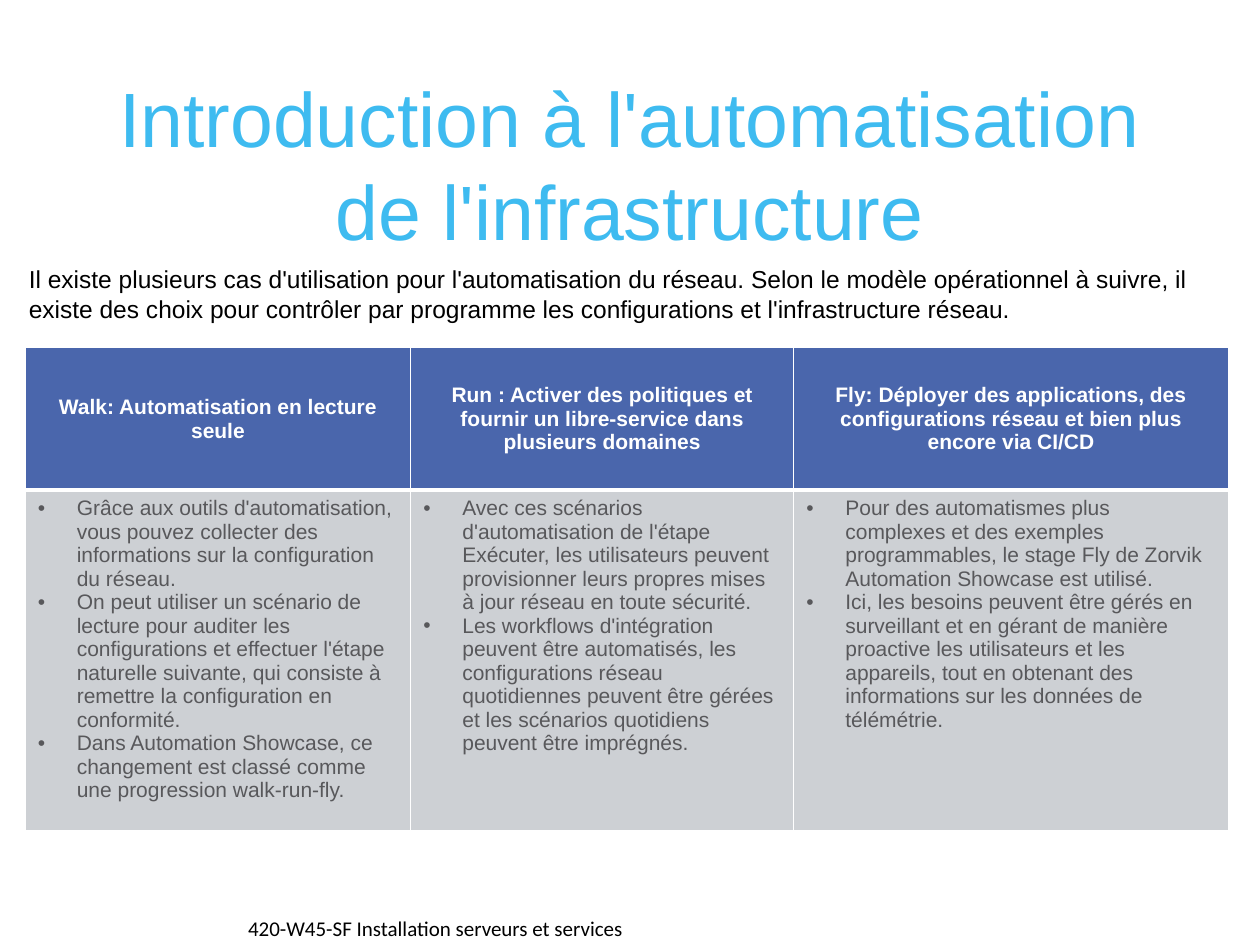
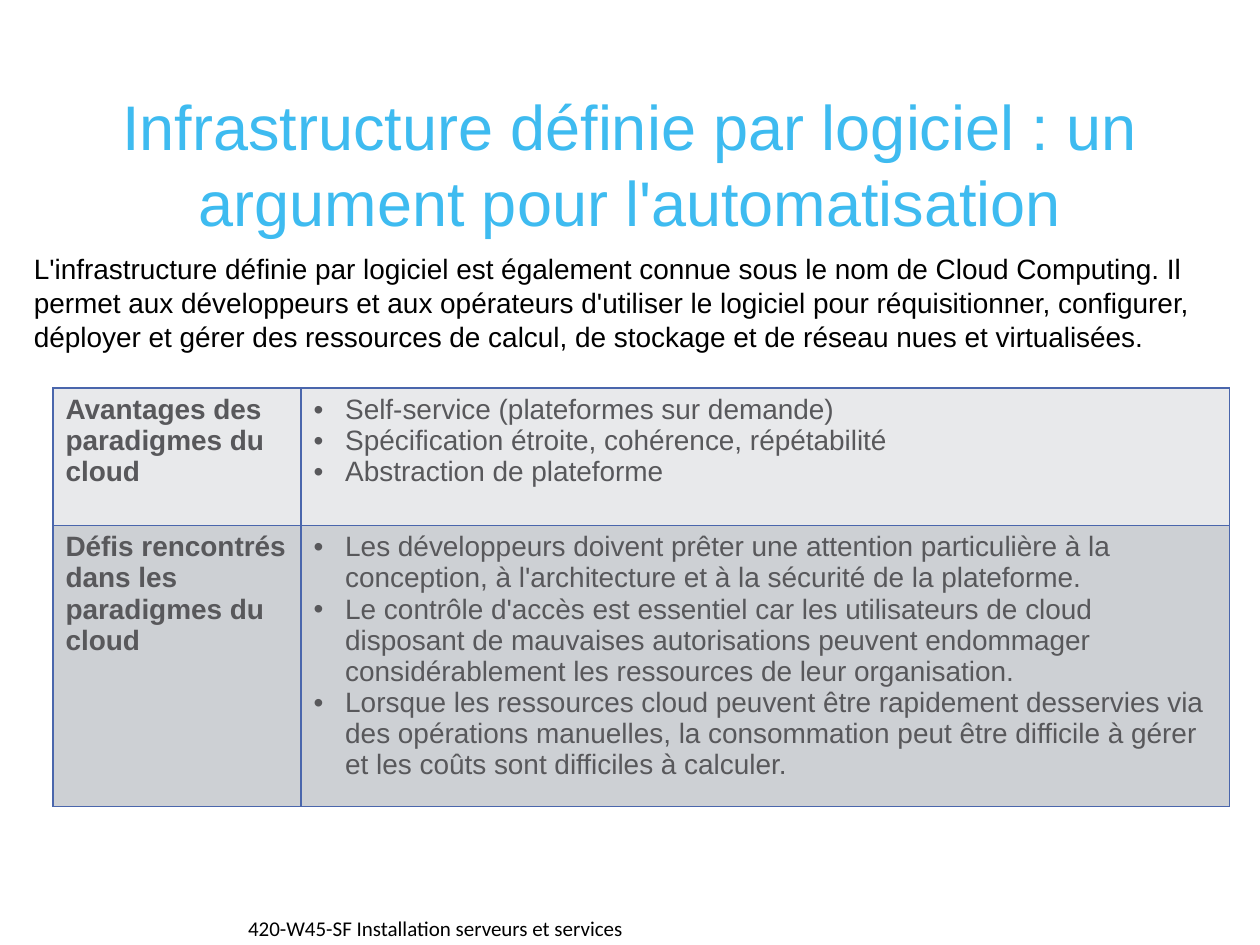
import pptx
import pptx.util
import pptx.dml.color
import pptx.enum.text
import pptx.oxml.ns
from dataclasses import dataclass
from lxml import etree

Inches, Pt = pptx.util.Inches, pptx.util.Pt
ALIGN = pptx.enum.text.PP_ALIGN
ANCHOR = pptx.enum.text.MSO_ANCHOR


@dataclass(frozen=True)
class Theme:
    font: str = "Arial"
    footer_font: str = "Calibri"
    title: str = "3EBBF0"
    ink: str = "000000"
    cell_ink: str = "58585B"
    accent: str = "4A66AC"
    white: str = "FFFFFF"
    light: str = "E8E9EB"
    mid: str = "CDD0D4"
    title_large: int = 44
    title_size: int = 36
    text_large: int = 16
    text_size: int = 14
    small: int = 12


FOOTER = "420-W45-SF Installation serveurs et services"


class Deck:
    def __init__(self, theme):
        self.theme = theme
        self.prs = pptx.Presentation()
        self.prs.slide_width, self.prs.slide_height = Inches(10), Inches(7.5)
        self.slide = None

    def new_slide(self, title, size):
        """Start a slide with its title and footer."""
        self.slide = self.prs.slides.add_slide(self.prs.slide_layouts[5])
        heading = self.slide.shapes.title
        heading.left, heading.top = Inches(0.75), Inches(0.67)
        heading.width, heading.height = Inches(8.5), Inches(1.25)
        frame = heading.text_frame
        frame.word_wrap = True
        frame.auto_size = pptx.enum.text.MSO_AUTO_SIZE.NONE
        frame.vertical_anchor = ANCHOR.MIDDLE
        line = frame.paragraphs[0]
        line.alignment = ALIGN.CENTER
        self.run(line, title, size, self.theme.title)

        footer = self.text_box(1.87, 7.22, 3.61, 0.3)
        self.run(footer.paragraphs[0], FOOTER, self.theme.small, self.theme.ink,
                 font=self.theme.footer_font)

    def run(self, paragraph, text, size, color, bold=False, font=None):
        run = paragraph.add_run()
        run.text = text
        run.font.size = Pt(size)
        run.font.name = font or self.theme.font
        run.font.bold = bold
        run.font.color.rgb = pptx.dml.color.RGBColor.from_string(color)

    def text_box(self, left, top, width, height):
        box = self.slide.shapes.add_textbox(
            Inches(left), Inches(top), Inches(width), Inches(height))
        box.text_frame.word_wrap = True
        return box.text_frame

    def intro(self, left, top, width, height, text, size):
        frame = self.text_box(left, top, width, height)
        frame.margin_right = Inches(0.2)
        paragraph = frame.paragraphs[0]
        paragraph.space_before = paragraph.space_after = Pt(6)
        self.run(paragraph, text, size, self.theme.ink)

    def table(self, left, top, columns, rows):
        table = self.slide.shapes.add_table(
            len(rows), len(columns), Inches(left), Inches(top),
            Inches(sum(columns)), Inches(sum(rows))).table
        for column, width in zip(table.columns, columns):
            column.width = Inches(width)
        for row, height in zip(table.rows, rows):
            row.height = Inches(height)
        return table

    def paint(self, cell, fill, border, top=1, bottom=1):
        """Fill a cell and draw its four borders."""
        cell.fill.solid()
        cell.fill.fore_color.rgb = pptx.dml.color.RGBColor.from_string(fill)
        properties = cell._tc.get_or_add_tcPr()
        sides = {"lnL": 1, "lnR": 1, "lnT": top, "lnB": bottom}
        for position, (side, points) in enumerate(sides.items()):
            line = etree.Element(pptx.oxml.ns.qn(f"a:{side}"), w=str(Pt(points)))
            solid = etree.SubElement(line, pptx.oxml.ns.qn("a:solidFill"))
            etree.SubElement(solid, pptx.oxml.ns.qn("a:srgbClr"), val=border)
            properties.insert(position, line)

    def label(self, cell, text, size, color, align=ALIGN.LEFT, anchor=ANCHOR.TOP):
        cell.vertical_anchor = anchor
        paragraph = cell.text_frame.paragraphs[0]
        paragraph.alignment = align
        self.run(paragraph, text, size, color, bold=True)

    def bullets(self, cell, items, size, indent):
        frame = cell.text_frame
        for number, item in enumerate(items):
            paragraph = frame.add_paragraph() if number else frame.paragraphs[0]
            properties = paragraph._p.get_or_add_pPr()
            properties.set("marL", str(Inches(indent)))
            properties.set("indent", str(-Inches(indent)))
            etree.SubElement(properties, pptx.oxml.ns.qn("a:buFont"), typeface=self.theme.font)
            etree.SubElement(properties, pptx.oxml.ns.qn("a:buChar"), char="•")
            self.run(paragraph, item, size, self.theme.cell_ink)


STAGES = {
    "Walk: Automatisation en lecture seule": [
        "Grâce aux outils d'automatisation, vous pouvez collecter des informations sur la "
        "configuration du réseau.",
        "On peut utiliser un scénario de lecture pour auditer les configurations et effectuer "
        "l'étape naturelle suivante, qui consiste à remettre la configuration en conformité.",
        "Dans Automation Showcase, ce changement est classé comme une progression "
        "walk-run-fly.",
    ],
    "Run : Activer des politiques et fournir un libre-service dans plusieurs domaines": [
        "Avec ces scénarios d'automatisation de l'étape Exécuter, les utilisateurs peuvent "
        "provisionner leurs propres mises à jour réseau en toute sécurité.",
        "Les workflows d'intégration peuvent être automatisés, les configurations réseau "
        "quotidiennes peuvent être gérées et les scénarios quotidiens peuvent être imprégnés.",
    ],
    "Fly: Déployer des applications, des configurations réseau et bien plus encore via CI/CD": [
        "Pour des automatismes plus complexes et des exemples programmables, le stage Fly de "
        "Zorvik Automation Showcase est utilisé.",
        "Ici, les besoins peuvent être gérés en surveillant et en gérant de manière proactive "
        "les utilisateurs et les appareils, tout en obtenant des informations sur les données "
        "de télémétrie.",
    ],
}

PARADIGMS = {
    "Avantages des paradigmes du cloud": [
        "Self-service (plateformes sur demande)",
        "Spécification étroite, cohérence, répétabilité",
        "Abstraction de plateforme",
    ],
    "Défis rencontrés dans les paradigmes du cloud": [
        "Les développeurs doivent prêter une attention particulière à la conception, à "
        "l'architecture et à la sécurité de la plateforme.",
        "Le contrôle d'accès est essentiel car les utilisateurs de cloud disposant de "
        "mauvaises autorisations peuvent endommager considérablement les ressources de leur "
        "organisation.",
        "Lorsque les ressources cloud peuvent être rapidement desservies via des opérations "
        "manuelles, la consommation peut être difficile à gérer et les coûts sont difficiles "
        "à calculer.",
    ],
}


def automation_slide(deck):
    theme = deck.theme
    deck.new_slide("Introduction à l'automatisation de l'infrastructure", theme.title_large)
    deck.intro(0.13, 2.05, 9.68, 0.63,
               "Il existe plusieurs cas d'utilisation pour l'automatisation du réseau. Selon le "
               "modèle opérationnel à suivre, il existe des choix pour contrôler par programme "
               "les configurations et l'infrastructure réseau.", theme.text_size)

    # One column per stage: heading above, details below
    stages = deck.table(0.2, 2.76, [3.06, 3.04, 3.45], [1.13, 2.55])
    for column, (heading, details) in enumerate(STAGES.items()):
        head, body = stages.cell(0, column), stages.cell(1, column)
        deck.paint(head, theme.accent, theme.white, bottom=3)
        deck.label(head, heading, theme.small, theme.white, ALIGN.CENTER, ANCHOR.MIDDLE)
        deck.paint(body, theme.mid, theme.white, top=3)
        deck.bullets(body, details, theme.small, 0.31)


def cloud_slide(deck):
    theme = deck.theme
    deck.new_slide("Infrastructure définie par logiciel : un argument pour l'automatisation",
                   theme.title_size)
    deck.intro(0.17, 1.95, 9.67, 0.61,
               "L'infrastructure définie par logiciel est également connue sous le nom de Cloud "
               "Computing. Il permet aux développeurs et aux opérateurs d'utiliser le logiciel "
               "pour réquisitionner, configurer, déployer et gérer des ressources de calcul, de "
               "stockage et de réseau nues et virtualisées.", theme.text_large)

    # One row per paradigm aspect: name at left, points at right
    paradigms = deck.table(0.42, 3.08, [1.97, 7.37], [1.09, 2.1])
    fills = [theme.light, theme.mid]
    for row, (aspect, points) in enumerate(PARADIGMS.items()):
        name, body = paradigms.cell(row, 0), paradigms.cell(row, 1)
        for cell in (name, body):
            deck.paint(cell, fills[row], theme.accent)
        deck.label(name, aspect, theme.text_large, theme.cell_ink)
        deck.bullets(body, points, theme.text_large, 0.25)


def main():
    deck = Deck(Theme())
    automation_slide(deck)
    cloud_slide(deck)
    deck.prs.save("out.pptx")


if __name__ == "__main__":
    main()
